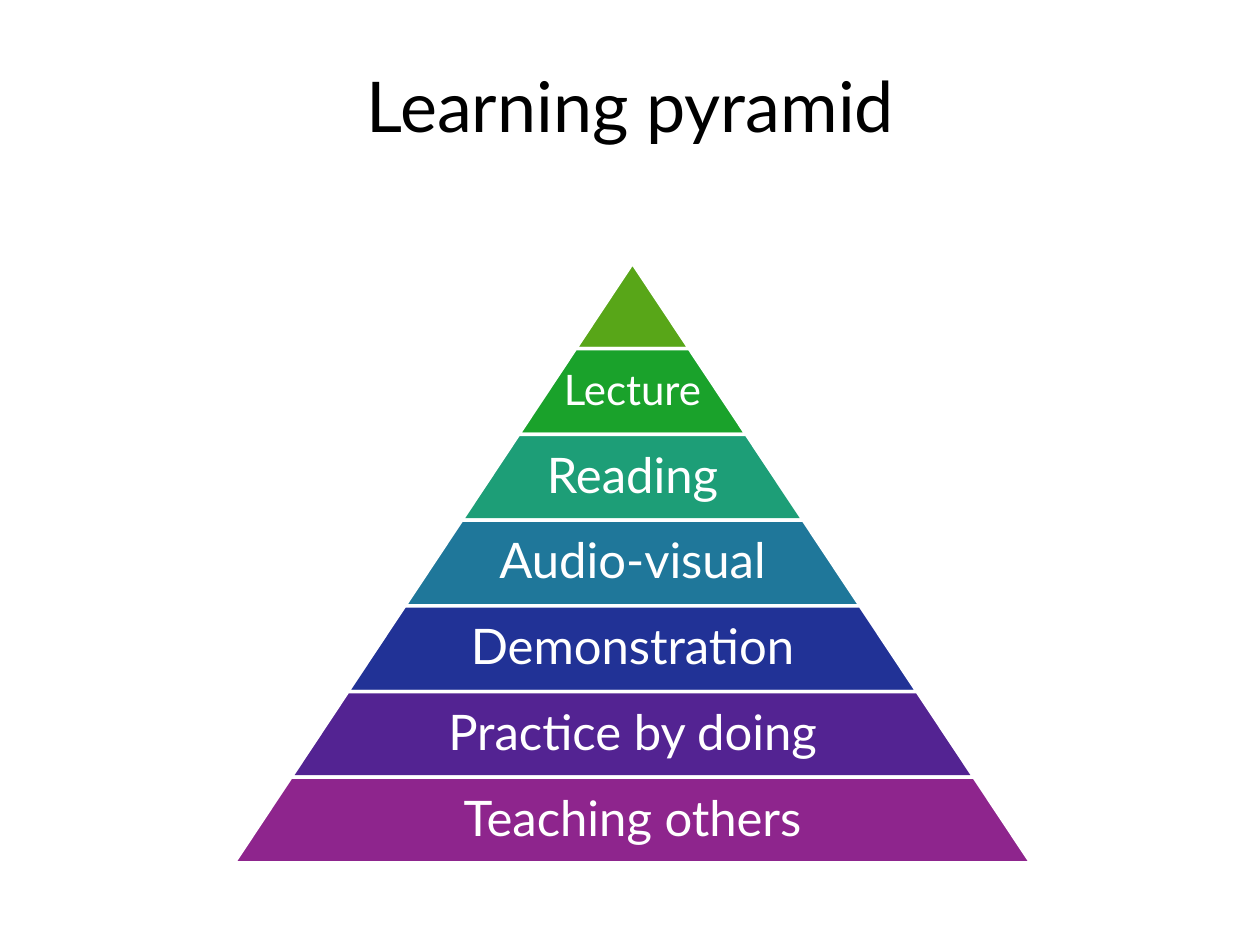
from pptx import Presentation
from pptx.dml.color import RGBColor
from pptx.enum.shapes import MSO_SHAPE as SHAPE
from pptx.enum.text import MSO_ANCHOR as ANCHOR, PP_ALIGN as ALIGN
from pptx.util import Pt

PX = 914400 / 126
FONT = "Lato"
BLACK = RGBColor(0x00, 0x00, 0x00)
WHITE = RGBColor(0xFF, 0xFF, 0xFF)
OLIVE = RGBColor(0x58, 0xA6, 0x18)
GREEN = RGBColor(0x1A, 0xA2, 0x2B)
TEAL = RGBColor(0x1D, 0x9E, 0x77)
BLUE = RGBColor(0x1F, 0x77, 0x9A)
NAVY = RGBColor(0x21, 0x32, 0x96)
VIOLET = RGBColor(0x53, 0x23, 0x92)
PURPLE = RGBColor(0x8E, 0x25, 0x8D)

TIERS = [
    ("", OLIVE, 28),
    ("Lecture", GREEN, 24),
    ("Reading", TEAL, 28),
    ("Audio-visual", BLUE, 28),
    ("Demonstration", NAVY, 28),
    ("Practice by doing", VIOLET, 28),
    ("Teaching others", PURPLE, 28),
]


def emu(*lengths):
    return [round(n * PX) for n in lengths]


def write(tf, text, size, color, spacing=None, inset=None):
    tf.word_wrap = True
    tf.vertical_anchor = ANCHOR.MIDDLE
    if inset is not None:
        margin, = emu(inset)
        tf.margin_left = tf.margin_right = margin
        tf.margin_top = tf.margin_bottom = margin
    p = tf.paragraphs[0]
    p.alignment = ALIGN.CENTER
    if spacing:
        p.line_spacing = spacing
    r = p.add_run()
    r.text = text
    r.font.name = FONT
    r.font.size = Pt(size)
    r.font.color.rgb = color


def add_title(s, text, left, top, width, height):
    title = s.shapes.title
    title.left, title.top, title.width, title.height = emu(left, top, width, height)
    write(title.text_frame, text, size=40, color=BLACK)


def add_pyramid(s, tiers, left, top, width, height):
    group = s.shapes.add_group_shape()
    step = width / len(tiers)
    tier_h = height / len(tiers)
    center = left + width / 2
    for i, (label, color, size) in enumerate(tiers):
        tier_w = step * (i + 1)
        y = top + i * tier_h
        sp = group.shapes.add_shape(
            SHAPE.TRAPEZOID, *emu(center - tier_w / 2, y, tier_w, tier_h))
        sp.adjustments[0] = step / 2 / tier_h
        sp.shadow.inherit = False
        sp.fill.solid()
        sp.fill.fore_color.rgb = color
        sp.line.color.rgb = WHITE
        sp.line.width = Pt(2)
        if label:
            text_w = tier_w * 0.65
            box = group.shapes.add_textbox(
                *emu(center - text_w / 2, y, text_w, tier_h))
            write(box.text_frame, label, size=size, color=WHITE,
                  spacing=0.9, inset=4)


prs = Presentation()
prs.slide_width, prs.slide_height = emu(1260, 945)
s = prs.slides.add_slide(prs.slide_layouts[5])
add_title(s, "Learning pyramid", 64, 35, 1133, 140)
add_pyramid(s, TIERS, 234, 263, 797, 600)
prs.save("out.pptx")
